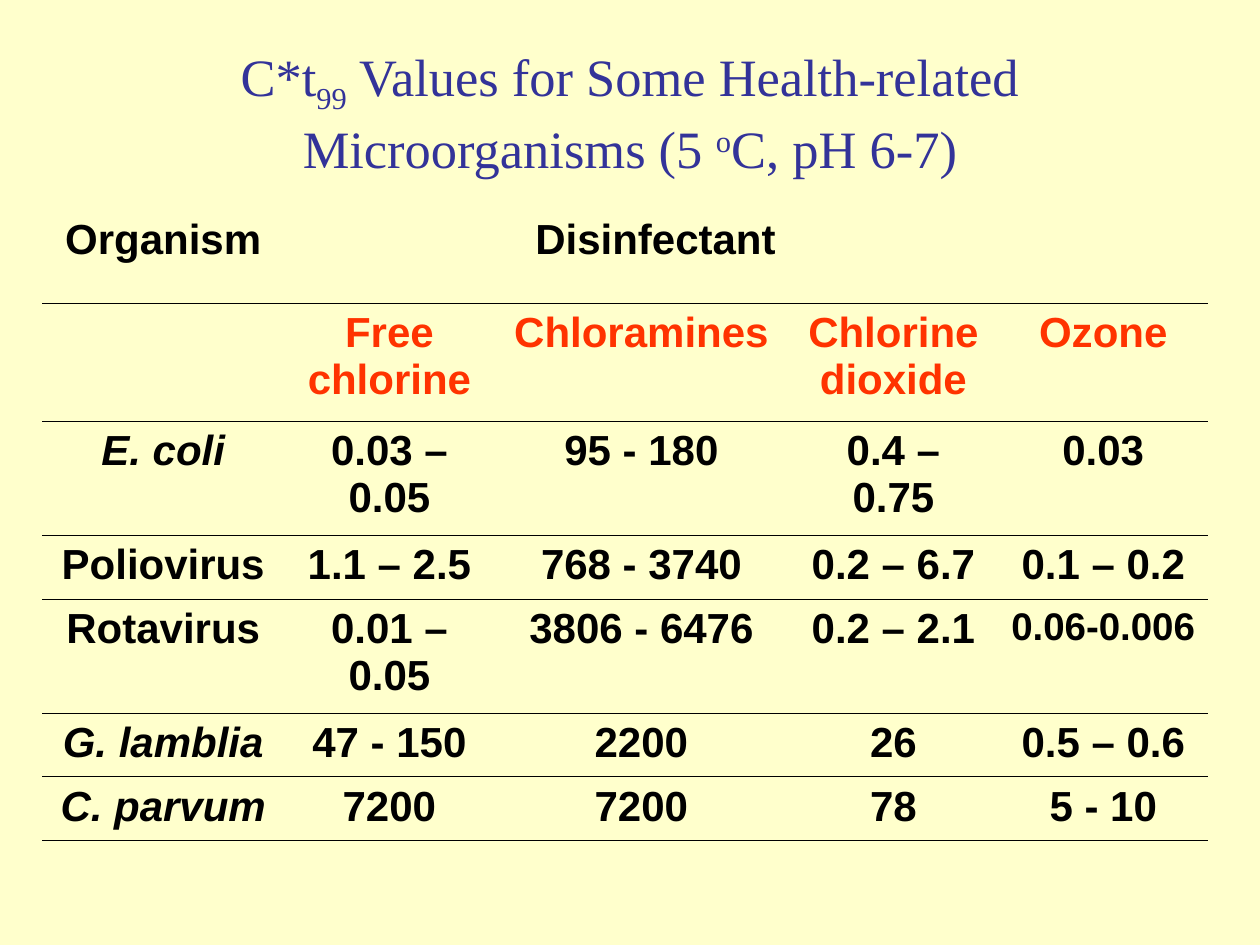
from dataclasses import dataclass

from lxml import etree
from pptx import Presentation
from pptx.dml.color import RGBColor
from pptx.enum.text import MSO_ANCHOR, MSO_AUTO_SIZE, PP_ALIGN
from pptx.oxml.ns import qn
from pptx.util import Cm, Pt

CENTER, RIGHT = PP_ALIGN.CENTER, PP_ALIGN.RIGHT
MIDDLE = MSO_ANCHOR.MIDDLE
NO_AUTOFIT = MSO_AUTO_SIZE.NONE
TITLE_ONLY = 5
PLAIN_TABLE = "{2D5ABB26-0587-4C30-8999-92F81FD0307C}"


@dataclass(frozen=True)
class Theme:
    background: str = "FFFFCC"
    title: str = "333399"
    text: str = "000000"
    accent: str = "FF3300"
    title_font: str = "Times New Roman"
    table_font: str = "Arial"
    title_size: float = 30
    cell_size: float = 24
    small_size: float = 22
    rule_width: float = 0.45


TITLE = [
    ("C*t", 0),
    ("99", -25),
    (" Values for Some Health-related Microorganisms (5 ", 0),
    ("o", 30),
    ("C, pH 6-7)", 0),
]
ROWS = [
    ["Organism", "", "Disinfectant", "", ""],
    ["", "Free chlorine", "Chloramines", "Chlorine dioxide", "Ozone"],
    ["E. coli", "0.03 – 0.05", "95 - 180", "0.4 – 0.75", "0.03"],
    ["Poliovirus", "1.1 – 2.5", "768 - 3740", "0.2 – 6.7", "0.1 – 0.2"],
    ["Rotavirus", "0.01 – 0.05", "3806 - 6476", "0.2 – 2.1", "0.06-0.006"],
    ["G. lamblia", "47 - 150", "2200", "26", "0.5 – 0.6"],
    ["C. parvum", "7200", "7200", "78", "5 - 10"],
]
COL_WIDTHS = [4.88, 4.24, 5.92, 4.24, 4.22]
ROW_HEIGHTS = [1.88, 2.38, 2.3, 1.28, 2.3, 1.28, 1.28]
SPECIES = {"E. coli", "G. lamblia", "C. parvum"}
SMALL = {"0.06-0.006"}


class SlideBuilder:
    def __init__(self, prs, theme):
        self.theme = theme
        self.slide = prs.slides.add_slide(prs.slide_layouts[TITLE_ONLY])
        fill = self.slide.background.fill
        fill.solid()
        fill.fore_color.rgb = RGBColor.from_string(theme.background)

    def style(self, p, name, size, color, align=CENTER):
        p.alignment = align
        p.font.name = name
        p.font.size = Pt(size)
        p.font.color.rgb = RGBColor.from_string(color)

    def title(self, runs, left, top, width, height):
        sp = self.slide.shapes.title
        sp.left, sp.top, sp.width, sp.height = map(Cm, (left, top, width, height))
        tf = sp.text_frame
        tf.word_wrap = True
        tf.auto_size = NO_AUTOFIT
        tf.vertical_anchor = MIDDLE
        p = tf.paragraphs[0]
        self.style(p, self.theme.title_font, self.theme.title_size, self.theme.title)
        for text, baseline in runs:
            r = p.add_run()
            r.text = text
            if baseline:
                r.font._element.set("baseline", str(baseline * 1000))

    def rule(self, cell, side):
        tc_pr = cell._tc.get_or_add_tcPr()
        ln = etree.SubElement(tc_pr, qn(f"a:{side}"), w=str(Pt(self.theme.rule_width)))
        fill = etree.SubElement(ln, qn("a:solidFill"))
        etree.SubElement(fill, qn("a:srgbClr"), val=self.theme.text)

    def cell(self, cell, text, row):
        if row:
            self.rule(cell, "lnT")
        self.rule(cell, "lnB")
        cell.fill.background()
        if not text:
            return
        cell.text = text
        p = cell.text_frame.paragraphs[0]
        size = self.theme.small_size if text in SMALL else self.theme.cell_size
        color = self.theme.accent if row == 1 else self.theme.text
        align = RIGHT if text == "Disinfectant" else CENTER
        self.style(p, self.theme.table_font, size, color, align)
        p.font.bold = True
        p.font.italic = text in SPECIES

    def table(self, rows, left, top, widths, heights):
        frame = self.slide.shapes.add_table(
            len(rows), len(widths), Cm(left), Cm(top), Cm(sum(widths)), Cm(sum(heights))
        )
        table = frame.table
        table.first_row = table.horz_banding = False
        table._tbl.tblPr.find(qn("a:tableStyleId")).text = PLAIN_TABLE
        for column, width in zip(table.columns, widths):
            column.width = Cm(width)
        for i, (values, height) in enumerate(zip(rows, heights)):
            table.rows[i].height = Cm(height)
            for j, text in enumerate(values):
                self.cell(table.cell(i, j), text, i)


def main():
    prs = Presentation()
    prs.slide_width, prs.slide_height = Cm(25.4), Cm(19.05)
    s = SlideBuilder(prs, Theme())
    s.title(TITLE, 1.27, 1.83, 22.86, 0.84)
    s.table(ROWS, 0.85, 4.24, COL_WIDTHS, ROW_HEIGHTS)
    prs.save("out.pptx")


if __name__ == "__main__":
    main()
